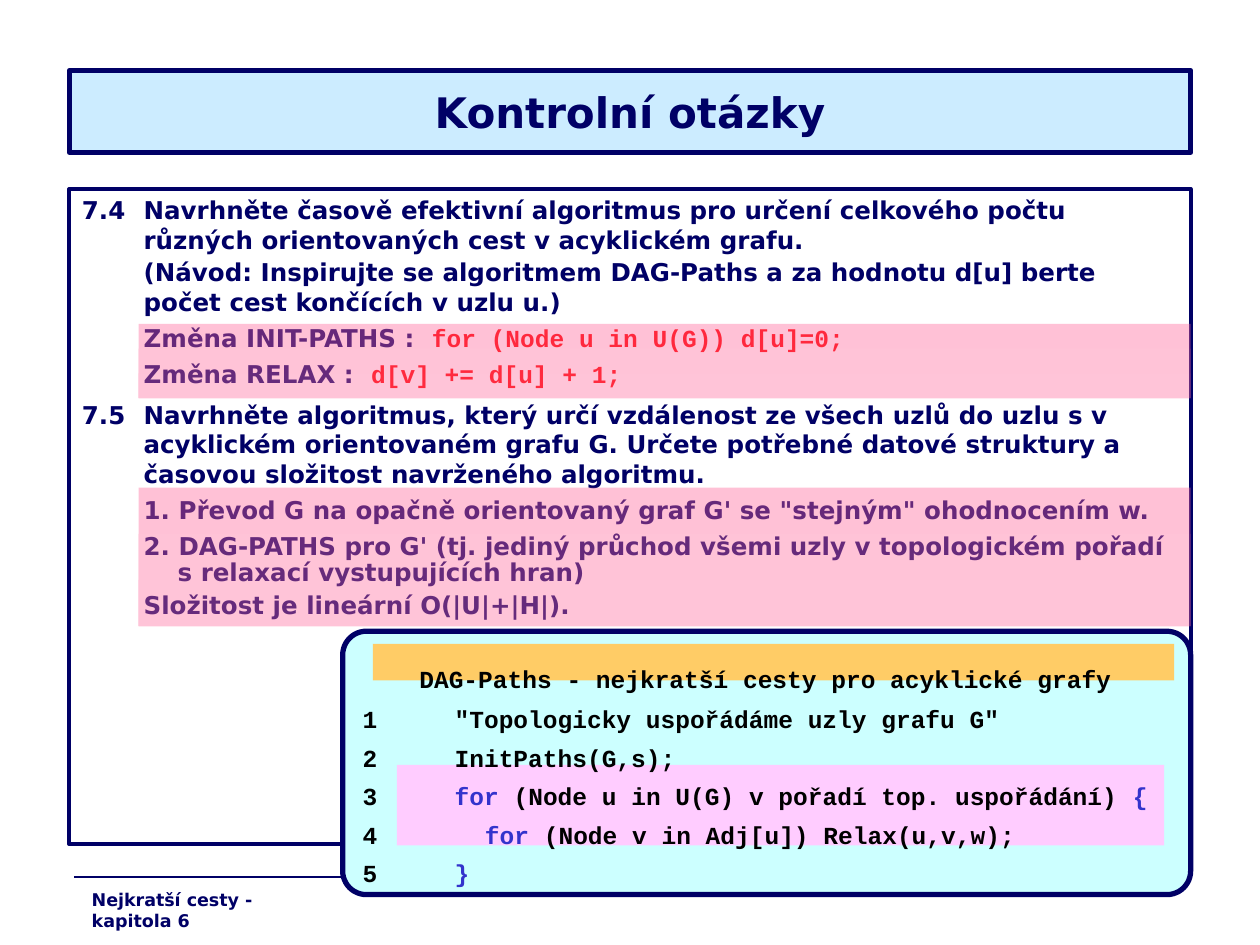
from dataclasses import dataclass

from lxml import etree
from pptx import Presentation
from pptx.dml.color import RGBColor
from pptx.enum.shapes import MSO_CONNECTOR, MSO_SHAPE
from pptx.enum.text import MSO_ANCHOR, MSO_AUTO_SIZE, PP_ALIGN
from pptx.oxml.ns import qn
from pptx.util import Inches, Pt

RECTANGLE = MSO_SHAPE.RECTANGLE
ROUNDED = MSO_SHAPE.ROUNDED_RECTANGLE
STRAIGHT = MSO_CONNECTOR.STRAIGHT
MIDDLE, TOP = MSO_ANCHOR.MIDDLE, MSO_ANCHOR.TOP
CENTER, LEFT = PP_ALIGN.CENTER, PP_ALIGN.LEFT
FIXED_SIZE = MSO_AUTO_SIZE.NONE

WIDTH, HEIGHT = 10, 7.5
MARGIN = 0.55
CONTENT_WIDTH = WIDTH - 2 * MARGIN
RIGHT = WIDTH - MARGIN
ANSWER_LEFT = 2 * MARGIN
NUMBER_COLUMN = 0.49
CODE_COLUMN = 0.73
CODE_STEP = 0.24


@dataclass(frozen=True)
class Theme:
    navy: str = "000066"
    title_fill: str = "CCECFF"
    answer_colors: tuple = ("FF6699", "FF6D9E")
    answer_opacity: int = 40
    code_fill: str = "CCFFFF"
    heading_fill: str = "FFCC66"
    loop_fill: str = "FFCCFF"
    code: str = "000000"
    keyword: str = "3333CC"
    formula: str = "FF0000"
    sans: str = "DejaVu Sans"
    mono: str = "Courier New"
    title_size: int = 24
    text_size: int = 14
    footer_size: int = 10


THEME = Theme()
PROSE = (THEME.sans, THEME.navy)
FORMULA = (THEME.mono, THEME.formula)
CODE = (THEME.mono, THEME.code)
KEYWORD = (THEME.mono, THEME.keyword)

QUESTIONS = [
    ("question", [("7.4\tNavrhněte časově efektivní algoritmus pro určení celkového počtu "
                   "různých orientovaných cest v acyklickém grafu.", PROSE)]),
    ("hint", [("(Návod: Inspirujte se algoritmem DAG-Paths a za hodnotu d[u] berte "
               "počet cest končících v uzlu u.)", PROSE)]),
    ("answer", [("Změna INIT-PATHS :  ", PROSE), ("for (Node u in U(G)) d[u]=0;", FORMULA)]),
    ("answer", [("Změna RELAX :  ", PROSE), ("d[v] += d[u] + 1;", FORMULA)]),
    ("question", [("7.5\tNavrhněte algoritmus, který určí vzdálenost ze všech uzlů do uzlu s v "
                   "acyklickém orientovaném grafu G. Určete potřebné datové struktury a "
                   "časovou složitost navrženého algoritmu.", PROSE)]),
    ("answer", [("1. Převod G na opačně orientovaný graf G' se \"stejným\" ohodnocením w.", PROSE)]),
    ("answer", [("2. DAG-PATHS pro G' (tj. jediný průchod všemi uzly v topologickém pořadí", PROSE)]),
    ("continuation", [("s relaxací vystupujících hran)", PROSE)]),
    ("answer", [("Složitost je lineární O(|U|+|H|).", PROSE)]),
]

QUESTION_STYLES = {
    "question": dict(left=NUMBER_COLUMN, hanging=True, before=5.2, after=1.8),
    "hint": dict(left=NUMBER_COLUMN, after=1.8),
    "answer": dict(left=NUMBER_COLUMN, spacing=0.8, before=5.2, after=1.8),
    "continuation": dict(left=NUMBER_COLUMN + 0.27, spacing=0.8),
}

CODE_HEADING = "DAG-Paths - nejkratší cesty pro acyklické grafy"
CODE_LINES = [
    (0, [("\"Topologicky uspořádáme uzly grafu G\"", CODE)]),
    (0, [("InitPaths(G,s);", CODE)]),
    (0, [("for ", KEYWORD), ("(Node u in U(G) v pořadí top. uspořádání) ", CODE), ("{", KEYWORD)]),
    (1, [("for ", KEYWORD), ("(Node v in Adj[u]) Relax(u,v,w);", CODE)]),
    (0, [("}", KEYWORD)]),
]


def color(value):
    return RGBColor.from_string(value)


def place(shape, left, top, width, height):
    shape.left, shape.top = Inches(left), Inches(top)
    shape.width, shape.height = Inches(width), Inches(height)


def outline(shape, width):
    shape.line.color.rgb = color(THEME.navy)
    shape.line.width = Pt(width)


def write_paragraph(paragraph, pieces, size=THEME.text_size, left=0, hanging=False,
                    spacing=1.0, before=0, after=0, align=LEFT):
    for words, (font, ink) in pieces:
        run = paragraph.add_run()
        run.text = words
        run.font.name = font
        run.font.size = Pt(size)
        run.font.bold = True
        run.font.color.rgb = color(ink)
    paragraph.alignment = align
    paragraph.line_spacing = spacing
    paragraph.space_before = Pt(before)
    paragraph.space_after = Pt(after)
    properties = paragraph._p.get_or_add_pPr()
    properties.set("marL", str(Inches(left)))
    properties.set("indent", str(-Inches(left) if hanging else 0))
    etree.SubElement(properties, qn("a:buNone"))


def write_paragraphs(frame, entries):
    for index, (pieces, style) in enumerate(entries):
        paragraph = frame.add_paragraph() if index else frame.paragraphs[0]
        write_paragraph(paragraph, pieces, **style)


def prepare_frame(shape, anchor=TOP):
    frame = shape.text_frame
    frame.word_wrap = True
    frame.auto_size = FIXED_SIZE
    frame.vertical_anchor = anchor
    return frame


def add_panel(shapes, kind, box, fill=None):
    panel = shapes.add_shape(kind, *map(Inches, box))
    panel.shadow.inherit = False
    panel.line.fill.background()
    if fill:
        panel.fill.solid()
        panel.fill.fore_color.rgb = color(fill)
    return panel


def add_answer_highlight(slide, top, height):
    highlight = add_panel(slide.shapes, RECTANGLE, (ANSWER_LEFT, top, RIGHT - ANSWER_LEFT, height))
    highlight.fill.gradient()
    highlight.fill.gradient_angle = 270
    for stop, shade in zip(highlight.fill.gradient_stops, THEME.answer_colors):
        stop.color.rgb = color(shade)
    for shade in highlight._element.spPr.iter(qn("a:srgbClr")):
        etree.SubElement(shade, qn("a:alpha"), val=str(THEME.answer_opacity * 1000))


def add_title(slide):
    title = slide.shapes.title
    place(title, MARGIN, 0.56, CONTENT_WIDTH, 0.65)
    title.fill.solid()
    title.fill.fore_color.rgb = color(THEME.title_fill)
    outline(title, 3)
    heading = ([("Kontrolní otázky", PROSE)], dict(size=THEME.title_size, align=CENTER))
    write_paragraphs(prepare_frame(title, MIDDLE), [heading])


def add_questions(slide):
    questions = slide.placeholders[1]
    place(questions, MARGIN, 1.5, CONTENT_WIDTH, 5.2)
    outline(questions, 2.25)
    write_paragraphs(prepare_frame(questions),
                     [(pieces, QUESTION_STYLES[role]) for role, pieces in QUESTIONS])


def add_footer(slide):
    rule = slide.shapes.add_connector(
        STRAIGHT, Inches(0.59), Inches(6.96), Inches(WIDTH - 0.59), Inches(6.96))
    outline(rule, 0.75)
    etree.SubElement(rule._element.spPr, qn("a:effectLst"))
    footer = slide.shapes.add_textbox(*map(Inches, (0.63, 7.01, 2.04, 0.27)))
    write_paragraphs(prepare_frame(footer),
                     [([("Nejkratší cesty - kapitola 6", PROSE)], dict(size=THEME.footer_size))])


def add_code(slide):
    shapes = slide.shapes.add_group_shape().shapes
    card = add_panel(shapes, ROUNDED, (2.72, 5.01, RIGHT - 2.72, 2.09), THEME.code_fill)
    card.adjustments[0] = 0.09
    outline(card, 3)
    add_panel(shapes, RECTANGLE, (2.96, 5.11, 6.36, 0.29), THEME.heading_fill)
    add_panel(shapes, RECTANGLE, (3.15, 6.07, 6.09, 0.64), THEME.loop_fill)
    listing = shapes.add_textbox(*map(Inches, (2.78, 5.04, 6.58, 1.93)))
    frame = prepare_frame(listing)
    frame.margin_top = Inches(0.23)
    entries = [([(CODE_HEADING, CODE)], dict(left=0.45, after=1))]
    for number, (depth, pieces) in enumerate(CODE_LINES, start=1):
        style = dict(left=CODE_COLUMN + depth * CODE_STEP, hanging=True, before=5.2)
        entries.append(([(f"{number}\t", CODE), *pieces], style))
    write_paragraphs(frame, entries)


def main():
    deck = Presentation()
    deck.slide_width, deck.slide_height = Inches(WIDTH), Inches(HEIGHT)
    slide = deck.slides.add_slide(deck.slide_layouts[1])
    add_title(slide)
    add_questions(slide)
    add_footer(slide)
    add_answer_highlight(slide, 2.57, 0.59)
    add_answer_highlight(slide, 3.87, 1.1)
    add_code(slide)
    deck.save("out.pptx")


if __name__ == "__main__":
    main()
